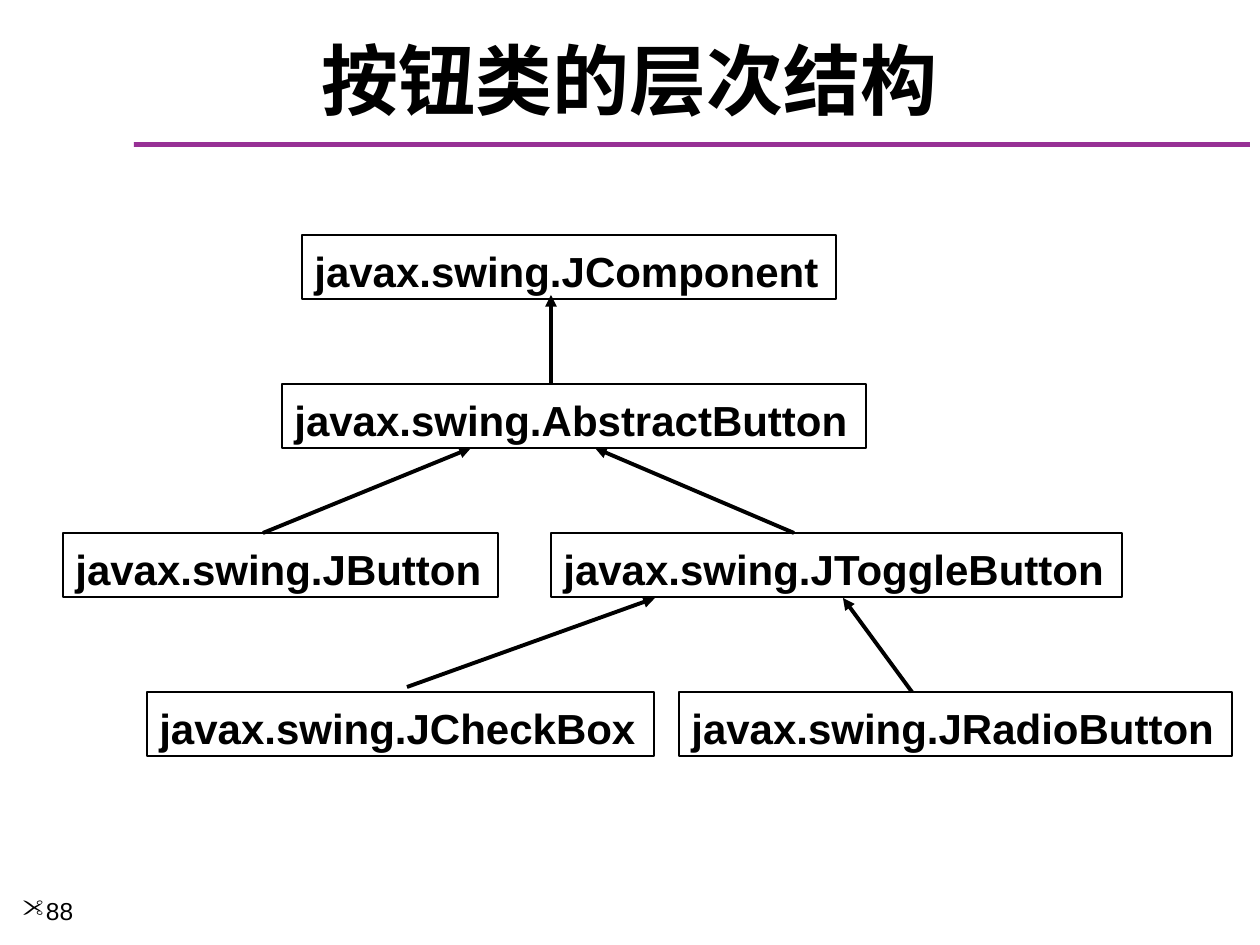
from lxml import etree
from pptx import Presentation
from pptx.dml.color import RGBColor
from pptx.enum.shapes import MSO_CONNECTOR, MSO_SHAPE
from pptx.enum.text import MSO_ANCHOR, MSO_AUTO_SIZE, PP_ALIGN
from pptx.oxml.ns import qn
from pptx.util import Pt

PX = 914400 / 126
BLACK = RGBColor(0x00, 0x00, 0x00)
PURPLE = RGBColor(0x97, 0x30, 0x95)

TITLE_FONT = {"name": "Times New Roman", "size": Pt(44), "bold": True}
CLASS_FONT = {"name": "Arial", "size": Pt(24), "bold": True}
NUMBER_FONT = {"name": "Arial", "size": Pt(14), "bold": False}

BOX_HEIGHT = 64
# class name: left, top, width, relative to the diagram
CLASSES = {
    "JComponent": (239, 0, 534),
    "AbstractButton": (219, 149, 584),
    "JButton": (0, 298, 435),
    "JToggleButton": (488, 298, 571),
    "JCheckBox": (84, 457, 507),
    "JRadioButton": (616, 457, 553),
}
# arrows from subclass to superclass, relative to the diagram
INHERITANCE = [
    (488, 149, 488, 60),
    (200, 298, 408, 213),
    (731, 298, 532, 213),
    (849, 457, 780, 363),
    (344, 452, 592, 363),
]


def px(*lengths):
    return [round(length * PX) for length in lengths]


def write(frame, text, font_format):
    paragraph = frame.paragraphs[0]
    paragraph.text = text
    font = paragraph.runs[0].font
    for attribute, value in font_format.items():
        setattr(font, attribute, value)
    font.color.rgb = BLACK
    return paragraph


def add_heading(slide, left, top, width, height):
    title = slide.shapes.title
    title.left, title.top, title.width, title.height = px(left, top, width, height)
    title.text_frame.vertical_anchor = MSO_ANCHOR.MIDDLE
    write(title.text_frame, "按钮类的层次结构", TITLE_FONT).alignment = PP_ALIGN.CENTER

    rule = slide.shapes.add_shape(
        MSO_SHAPE.RECTANGLE, *px(left + 113, top + 110, 1116, 5))
    rule.shadow.inherit = False
    rule.fill.solid()
    rule.fill.fore_color.rgb = PURPLE
    rule.line.fill.background()


def add_class_box(slide, name, left, top, width):
    box = slide.shapes.add_shape(
        MSO_SHAPE.RECTANGLE, *px(left, top, width, BOX_HEIGHT))
    box.shadow.inherit = False
    box.fill.background()
    box.line.color.rgb = BLACK
    box.line.width = Pt(0.75)
    frame = box.text_frame
    frame.word_wrap = False
    frame.auto_size = MSO_AUTO_SIZE.SHAPE_TO_FIT_TEXT
    frame.vertical_anchor = MSO_ANCHOR.TOP
    frame.margin_top, = px(11)
    write(frame, f"javax.swing.{name}", CLASS_FONT).alignment = PP_ALIGN.LEFT


def add_inheritance_arrow(slide, x1, y1, x2, y2):
    arrow = slide.shapes.add_connector(
        MSO_CONNECTOR.STRAIGHT, *px(x1, y1, x2, y2))
    arrow.line.color.rgb = BLACK
    arrow.line.width = Pt(2.25)
    etree.SubElement(arrow.line._get_or_add_ln(), qn("a:tailEnd"), type="triangle")
    etree.SubElement(arrow._element.spPr, qn("a:effectLst"))


def add_class_hierarchy(slide, left, top):
    for name, (x, y, width) in CLASSES.items():
        add_class_box(slide, name, left + x, top + y, width)
    for x1, y1, x2, y2 in INHERITANCE:
        add_inheritance_arrow(slide, left + x1, top + y1, left + x2, top + y2)


def add_page_number(slide, left, top, width, height):
    number = slide.shapes.add_textbox(*px(left, top, width, height))
    number.text_frame.word_wrap = True
    paragraph = write(number.text_frame, "88", NUMBER_FONT)
    properties = paragraph._p.get_or_add_pPr()
    etree.SubElement(properties, qn("a:buFont"), typeface="Wingdings")
    etree.SubElement(properties, qn("a:buChar"), char='"')


def main():
    presentation = Presentation()
    presentation.slide_width, presentation.slide_height = px(1260, 945)
    slide = presentation.slides.add_slide(presentation.slide_layouts[5])
    add_heading(slide, 21, 32, 1218, 94)
    add_page_number(slide, 10, 890, 136, 55)
    add_class_hierarchy(slide, 63, 235)
    presentation.save("out.pptx")


if __name__ == "__main__":
    main()
